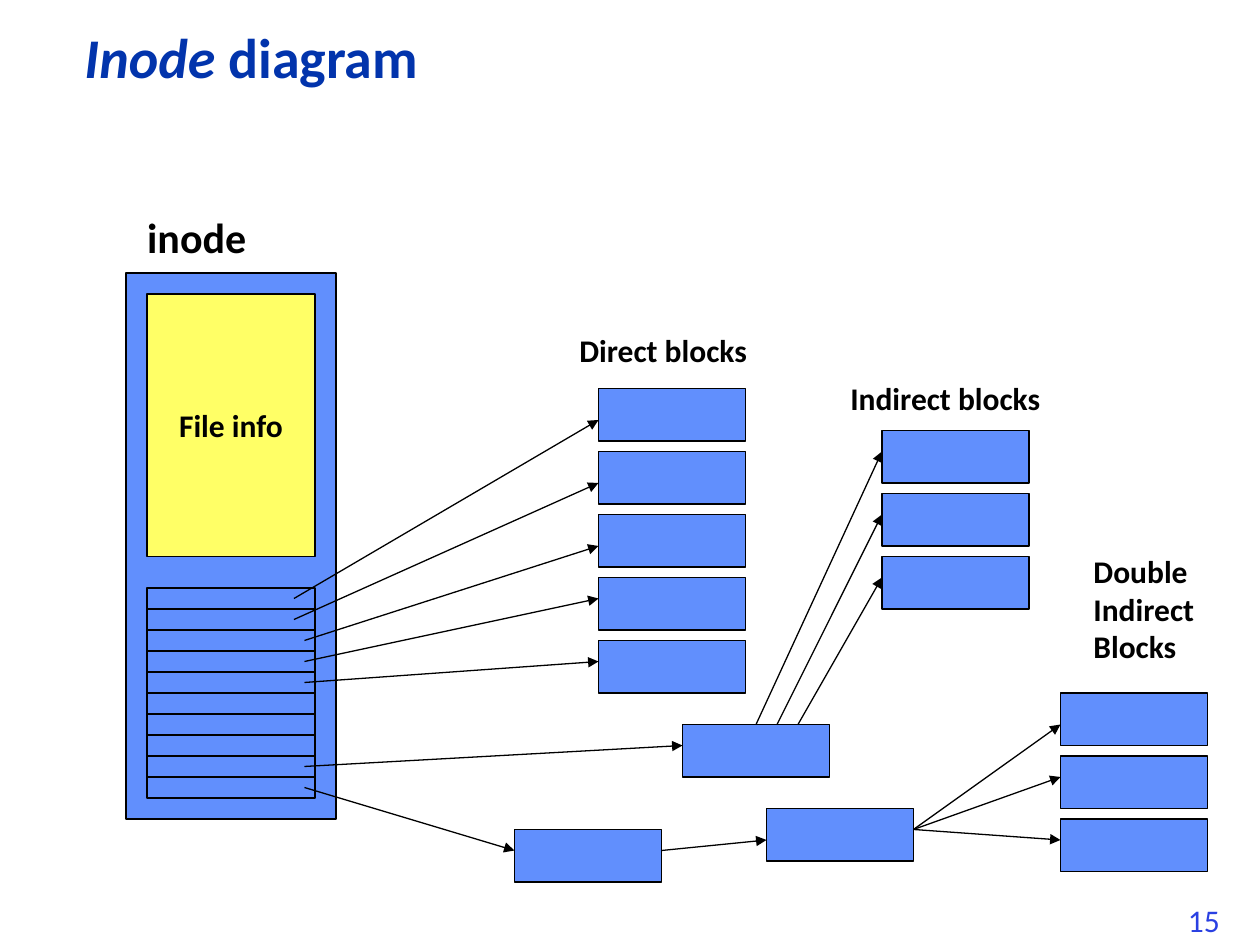
from typing import NamedTuple

from lxml import etree
from pptx import Presentation
from pptx.dml.color import RGBColor
from pptx.enum.shapes import MSO_CONNECTOR, MSO_SHAPE
from pptx.enum.text import MSO_ANCHOR, MSO_AUTO_SIZE, PP_ALIGN
from pptx.oxml.ns import qn
from pptx.util import Inches, Pt

RECTANGLE = MSO_SHAPE.RECTANGLE
STRAIGHT = MSO_CONNECTOR.STRAIGHT
MIDDLE = MSO_ANCHOR.MIDDLE
NO_AUTOFIT = MSO_AUTO_SIZE.NONE
LEFT, CENTER = PP_ALIGN.LEFT, PP_ALIGN.CENTER

BLACK = RGBColor(0x00, 0x00, 0x00)
BLUE = RGBColor(0x61, 0x8F, 0xFD)
YELLOW = RGBColor(0xFF, 0xFF, 0x66)
TITLE_BLUE = RGBColor(0x02, 0x34, 0xAC)
NUMBER_BLUE = RGBColor(0x2A, 0x40, 0xE2)

FONT = "Calibri"
LINE_WIDTH = Pt(0.75)
CELL = Inches(1) / 12  # the diagram sits on a grid of twelfths of an inch
BLOCK_COLS, BLOCK_ROWS, BLOCK_STEP = 14, 5, 6
SLOT_ROWS, SLOT_COUNT = 2, 10


class Box(NamedTuple):
    col: float
    row: float
    cols: float
    rows: float
    fill: RGBColor = BLUE


class BlockStack(NamedTuple):
    col: float
    row: float
    count: int = 1


class Arrow(NamedTuple):
    start_col: float
    start_row: float
    end_col: float
    end_row: float


class Label(NamedTuple):
    left: float
    top: float
    width: float
    height: float
    lines: tuple[str, ...]
    size: int = 18
    bold: bool = True
    color: RGBColor = BLACK


def grid(cells: float) -> int:
    return round(cells * CELL)


def style_font(font, size: int, color: RGBColor, bold: bool = True) -> None:
    font.name = FONT
    font.size = Pt(size)
    font.bold = bold
    font.color.rgb = color


def draw_box(shapes, box: Box):
    shape = shapes.add_shape(RECTANGLE, *(grid(n) for n in box[:4]))
    shape.shadow.inherit = False
    shape.fill.solid()
    shape.fill.fore_color.rgb = box.fill
    shape.line.color.rgb = BLACK
    shape.line.width = LINE_WIDTH
    return shape


def draw_stack(shapes, stack: BlockStack) -> None:
    for i in range(stack.count):
        draw_box(shapes, Box(stack.col, stack.row + i * BLOCK_STEP,
                             BLOCK_COLS, BLOCK_ROWS))


def draw_arrow(shapes, arrow: Arrow) -> None:
    connector = shapes.add_connector(STRAIGHT, *(grid(n) for n in arrow))
    connector.line.color.rgb = BLACK
    connector.line.width = LINE_WIDTH
    properties = connector.element.spPr
    outline = properties.find(qn("a:ln"))
    etree.SubElement(outline, qn("a:tailEnd"), type="triangle")
    etree.SubElement(properties, qn("a:effectLst"))


def draw_label(shapes, label: Label) -> None:
    frame = shapes.add_textbox(*(Inches(n) for n in label[:4])).text_frame
    frame.word_wrap = False
    frame.text = "\n".join(label.lines)
    for paragraph in frame.paragraphs:
        style_font(paragraph.font, label.size, label.color, label.bold)


INODE = Box(12, 26, 20, 52)
FILE_INFO = Box(14, 28, 16, 25, YELLOW)
SLOTS = [Box(14, 56 + i * SLOT_ROWS, 16, SLOT_ROWS) for i in range(SLOT_COUNT)]

STACKS = [
    BlockStack(57, 37, 5),   # direct
    BlockStack(84, 41, 3),   # indirect
    BlockStack(101, 66, 3),  # double indirect
    BlockStack(65, 69),      # pointers to indirect blocks
    BlockStack(49, 79),      # first level of double indirection
    BlockStack(73, 77),      # second level of double indirection
]

ARROWS = [
    # slots to direct blocks
    Arrow(28, 57, 57, 40),
    Arrow(28, 59, 57, 46),
    Arrow(29, 61, 57, 52),
    Arrow(29, 63, 57, 57),
    Arrow(29, 65, 57, 63),
    # slots to pointer blocks
    Arrow(29, 73, 65, 71),
    Arrow(29, 75, 49, 81),
    Arrow(63, 81, 73, 80),
    # pointer blocks to indirect blocks
    *(Arrow(72 + 2 * i, 69, 84, 43 + BLOCK_STEP * i) for i in range(3)),
    # pointer blocks to double indirect blocks
    *(Arrow(87, 79, 101, row) for row in (69, 74, 80)),
]

LABELS = [
    Label(1.07, 1.63, 1.02, 0.5, ("inode",), size=24),
    Label(4.5, 2.58, 1.54, 0.4, ("Direct blocks",)),
    Label(6.65, 2.96, 1.72, 0.4, ("Indirect blocks",)),
    Label(8.58, 4.33, 1.09, 1, ("Double", "Indirect", "Blocks")),
    Label(9.33, 7.1, 0.51, 0.4, ("15",), bold=False, color=NUMBER_BLUE),
]

presentation = Presentation()
presentation.slide_width, presentation.slide_height = Inches(10), Inches(7.5)
slide = presentation.slides.add_slide(presentation.slide_layouts[5])
shapes = slide.shapes

# Title
title = shapes.title
title.left, title.top = Inches(0.57), Inches(0.19)
title.width, title.height = Inches(7.83), Inches(0.58)
title.text_frame.auto_size = NO_AUTOFIT
title.text_frame.vertical_anchor = MIDDLE
heading = title.text_frame.paragraphs[0]
heading.alignment = LEFT
heading.line_spacing = 0.9
style_font(heading.font, 32, TITLE_BLUE)
for words, italic in (("Inode", True), (" diagram", False)):
    run = heading.add_run()
    run.text = words
    run.font.italic = italic

# Inode with its file info and pointer slots
draw_box(shapes, INODE)
file_info = draw_box(shapes, FILE_INFO).text_frame
file_info.text = "File info"
file_info.vertical_anchor = MIDDLE
file_info.paragraphs[0].alignment = CENTER
style_font(file_info.paragraphs[0].font, 18, BLACK)
for slot in SLOTS:
    draw_box(shapes, slot)

# Blocks, pointers and labels
for stack in STACKS:
    draw_stack(shapes, stack)
for arrow in ARROWS:
    draw_arrow(shapes, arrow)
for label in LABELS:
    draw_label(shapes, label)

presentation.save("out.pptx")
